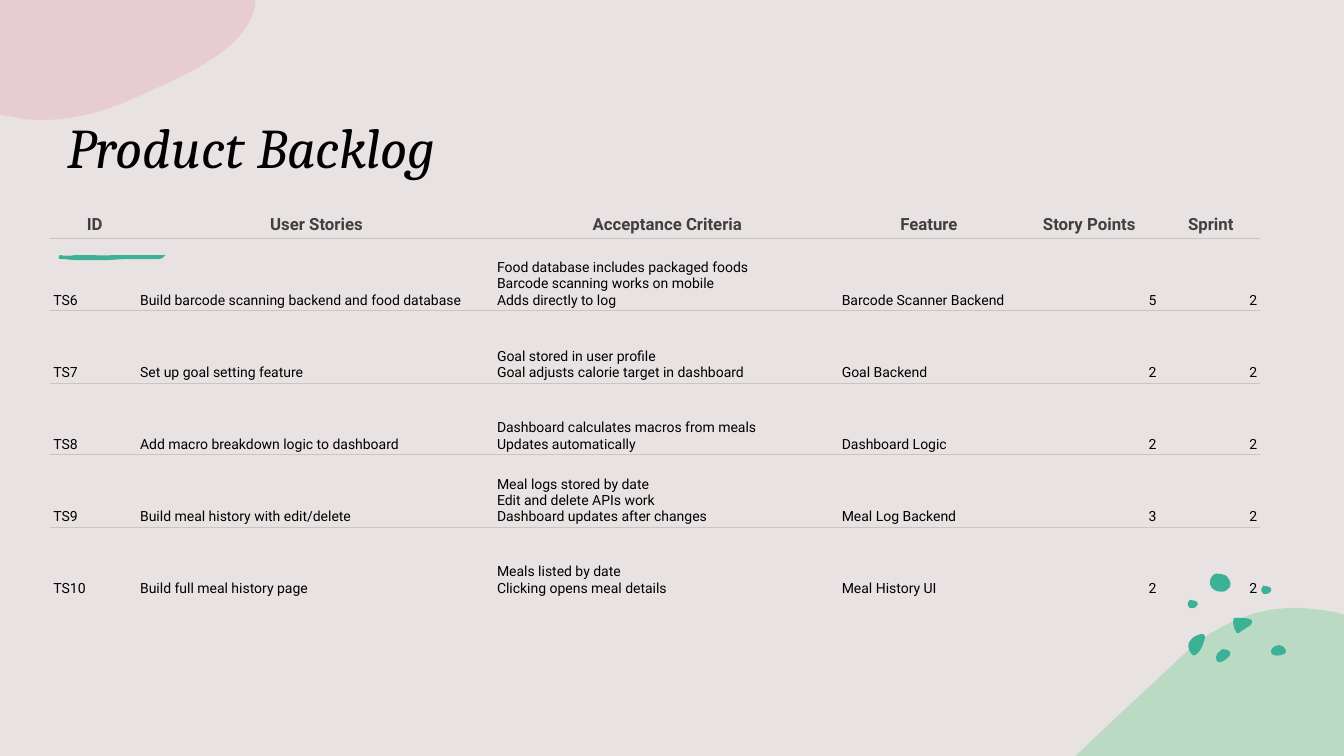
from lxml import etree
from pptx import Presentation
from pptx.dml.color import RGBColor
from pptx.enum.text import MSO_ANCHOR, PP_ALIGN
from pptx.oxml.ns import qn
from pptx.util import Inches, Pt

BOTTOM = MSO_ANCHOR.BOTTOM
LEFT, CENTER, RIGHT = PP_ALIGN.LEFT, PP_ALIGN.CENTER, PP_ALIGN.RIGHT

BACKGROUND, BLACK, HEADING, RULE = "E8E2E3", "000000", "404040", "C7C6C1"
TEAL, GREEN, PINK = "3BB195", "90D3A7", "E7B8C0"

# An outline is a start point, then lines (x, y) and Bezier curves (six numbers).
GREEN_HILL = [(12.88, 6.03), (13.01, 6.04, 13.14, 6.05, 13.27, 6.08), (13.33, 6.1),
              (13.33, 7.5), (10.67, 7.5), (10.68, 7.49),
              (11.02, 7.16, 11.37, 6.84, 11.69, 6.54),
              (11.91, 6.32, 12.14, 6.19, 12.37, 6.11),
              (12.54, 6.05, 12.71, 6.03, 12.88, 6.03)]
PINK_CLOUD = [(0, 0), (2.53, 0), (2.53, 0.06), (2.45, 0.44, 2, 0.67, 1.58, 0.86),
              (1.23, 1.03, 0.86, 1.19, 0.41, 1.19), (0.31, 1.19, 0.22, 1.18, 0.13, 1.16),
              (0, 1.14)]
BRUSH_STROKE = [(0.59, 2.53), (0.64, 2.54, 0.7, 2.54, 0.75, 2.53), (0.88, 2.53),
                (0.94, 2.53, 1.06, 2.54, 1.11, 2.53), (1.64, 2.53),
                (1.61, 2.54, 1.63, 2.57, 1.57, 2.57), (1.24, 2.57), (1.07, 2.58),
                (0.75, 2.58), (0.71, 2.58, 0.65, 2.57, 0.61, 2.57),
                (0.57, 2.58, 0.58, 2.54, 0.59, 2.53)]
SMALL_DOT = [(12.51, 5.86), (12.51, 5.86, 12.51, 5.82, 12.53, 5.81),
             (12.55, 5.81, 12.56, 5.81, 12.58, 5.82), (12.59, 5.82, 12.61, 5.83, 12.61, 5.85),
             (12.61, 5.86, 12.6, 5.88, 12.59, 5.88), (12.59, 5.88, 12.59, 5.89, 12.57, 5.89),
             (12.56, 5.89, 12.54, 5.9, 12.53, 5.89), (12.52, 5.87, 12.51, 5.87, 12.51, 5.86)]
LARGE_DOTS = [
    [(12.13, 6.44), (12.15, 6.44, 12.16, 6.44, 12.18, 6.45),
     (12.2, 6.46, 12.21, 6.48, 12.2, 6.5), (12.18, 6.53, 12.12, 6.58, 12.08, 6.57),
     (12.07, 6.56, 12.06, 6.54, 12.06, 6.52), (12.06, 6.5, 12.08, 6.47, 12.1, 6.46),
     (12.11, 6.45, 12.12, 6.44, 12.13, 6.44)],
    [(11.91, 6.29), (11.93, 6.29, 11.95, 6.29, 11.95, 6.31),
     (11.95, 6.32, 11.95, 6.32, 11.95, 6.33), (11.94, 6.38, 11.92, 6.43, 11.89, 6.47),
     (11.87, 6.49, 11.84, 6.52, 11.82, 6.49), (11.79, 6.46, 11.78, 6.41, 11.79, 6.38),
     (11.8, 6.35, 11.82, 6.34, 11.84, 6.32), (11.85, 6.32, 11.88, 6.29, 11.91, 6.29)],
    [(12.69, 6.4), (12.71, 6.4, 12.74, 6.42, 12.75, 6.44),
     (12.76, 6.46, 12.76, 6.48, 12.73, 6.49), (12.7, 6.51, 12.62, 6.51, 12.61, 6.48),
     (12.6, 6.46, 12.61, 6.44, 12.62, 6.43), (12.64, 6.41, 12.66, 6.4, 12.69, 6.4)],
    [(12.01, 5.81), (12, 5.81, 11.99, 5.75, 12.02, 5.72),
     (12.04, 5.7, 12.04, 5.69, 12.07, 5.69), (12.1, 5.69, 12.14, 5.7, 12.16, 5.71),
     (12.18, 5.73, 12.22, 5.78, 12.2, 5.82), (12.17, 5.85, 12.16, 5.87, 12.12, 5.87),
     (12.09, 5.87, 12.04, 5.86, 12.03, 5.84), (12.01, 5.83, 12.01, 5.82, 12.01, 5.81)],
    [(12.28, 6.13), (12.34, 6.13, 12.45, 6.13, 12.41, 6.19),
     (12.41, 6.2, 12.4, 6.21, 12.39, 6.21), (12.36, 6.23, 12.33, 6.25, 12.3, 6.27),
     (12.29, 6.28, 12.28, 6.29, 12.27, 6.28), (12.27, 6.28, 12.26, 6.27, 12.26, 6.27),
     (12.24, 6.23, 12.23, 6.2, 12.23, 6.16), (12.23, 6.15, 12.23, 6.14, 12.24, 6.13)],
]

COLUMN_WIDTHS = [0.86, 3.54, 3.42, 1.77, 1.41, 1]
ROW_HEIGHTS = [0.24, 0.71, 0.72, 0.71, 0.72, 0.71]
ALIGNMENTS = [LEFT, LEFT, LEFT, LEFT, RIGHT, RIGHT]
BACKLOG = [
    ("ID", "User Stories", "Acceptance Criteria", "Feature", "Story Points", "Sprint"),
    ("TS6", "Build barcode scanning backend and food database",
     "Food database includes packaged foods \vBarcode scanning works on mobile \v"
     "Adds directly to log", "Barcode Scanner Backend", "5", "2"),
    ("TS7", "Set up goal setting feature",
     "Goal stored in user profile \vGoal adjusts calorie target in dashboard",
     "Goal Backend", "2", "2"),
    ("TS8", "Add macro breakdown logic to dashboard",
     "Dashboard calculates macros from meals \vUpdates automatically",
     "Dashboard Logic", "2", "2"),
    ("TS9", "Build meal history with edit/delete",
     "Meal logs stored by date \vEdit and delete APIs work \vDashboard updates after changes",
     "Meal Log Backend", "3", "2"),
    ("TS10", "Build full meal history page",
     "Meals listed by date \vClicking opens meal details", "Meal History UI", "2", "2"),
]


def color(value):
    return RGBColor.from_string(value)


def set_font(font, name, size, value, bold=False, italic=False):
    font.name, font.size = name, Pt(size)
    font.bold, font.italic = bold, italic
    font.color.rgb = color(value)


def bend_lines(blob, segments):
    lines = list(blob._element.iter(qn("a:lnTo")))
    for line, segment in zip(lines, segments):
        if len(segment) == 2:
            continue
        line.tag = qn("a:cubicBezTo")
        for index in (0, 1):
            x, y = segment[2 * index:2 * index + 2]
            control = etree.Element(qn("a:pt"), x=str(x - blob.left), y=str(y - blob.top))
            line.insert(index, control)


def add_blob(shapes, outline, fill, alpha=100, shift=(0, 0)):
    segments = [[Inches(value + shift[index % 2]) for index, value in enumerate(segment)]
                for segment in outline]
    builder = shapes.build_freeform(*segments[0])
    builder.add_line_segments([segment[-2:] for segment in segments[1:]], close=True)
    blob = builder.convert_to_shape()
    bend_lines(blob, segments[1:])
    blob.shadow.inherit = False
    blob.fill.solid()
    blob.fill.fore_color.rgb = color(fill)
    blob.line.fill.background()
    if alpha < 100:
        solid = blob._element.spPr.find(qn("a:solidFill"))
        etree.SubElement(solid[0], qn("a:alpha"), val=str(alpha * 1000))


def add_dots(page):
    group = page.shapes.add_group_shape()
    for outline in LARGE_DOTS:
        add_blob(group.shapes, outline, TEAL)
    for shift in ((0, 0), (-0.73, 0.14)):
        add_blob(group.shapes, SMALL_DOT, TEAL, shift=shift)


def add_title(page, text):
    box = page.shapes.add_textbox(Inches(0.57), Inches(1.07), Inches(6.1), Inches(1.73))
    box.text_frame.word_wrap = True
    para = box.text_frame.paragraphs[0]
    para.text = text
    set_font(para.font, "Cambria", 40, BLACK, italic=True)


def set_borders(cell, ruled_edges):
    properties = cell._tc.get_or_add_tcPr()
    for edge in "LRTB":
        line = etree.SubElement(properties, qn(f"a:ln{edge}"), w=str(Pt(0.75)))
        if edge in ruled_edges:
            solid = etree.SubElement(line, qn("a:solidFill"))
            etree.SubElement(solid, qn("a:srgbClr"), val=RULE)
        else:
            etree.SubElement(line, qn("a:noFill"))


def fill_cell(cell, text, alignment, is_header, ruled_edges):
    set_borders(cell, ruled_edges)
    cell.fill.background()
    cell.vertical_anchor = BOTTOM
    margins = (0.07, 0.04, 0.05, 0.04) if is_header else (0.03, 0.02, 0.03, 0.02)
    cell.margin_left, cell.margin_top, cell.margin_right, cell.margin_bottom = map(Inches, margins)
    para = cell.text_frame.paragraphs[0]
    para.text = text
    para.alignment = CENTER if is_header else alignment
    set_font(para.font, "Roboto", 12 if is_header else 10,
             HEADING if is_header else BLACK, bold=is_header)


def add_backlog(page):
    frame = page.shapes.add_table(len(BACKLOG), len(COLUMN_WIDTHS), Inches(0.5), Inches(2.09),
                                  Inches(sum(COLUMN_WIDTHS)), Inches(sum(ROW_HEIGHTS)))
    table = frame.table
    table.first_row = table.horz_banding = False
    for column, width in zip(table.columns, COLUMN_WIDTHS):
        column.width = Inches(width)
    for row, height in zip(table.rows, ROW_HEIGHTS):
        row.height = Inches(height)
    last = len(BACKLOG) - 1
    for row_index, texts in enumerate(BACKLOG):
        edges = ("T" if row_index > 0 else "") + ("B" if row_index < last else "")
        for column_index, text in enumerate(texts):
            fill_cell(table.cell(row_index, column_index), text, ALIGNMENTS[column_index],
                      row_index == 0, edges)


def main():
    deck = Presentation()
    deck.slide_width, deck.slide_height = Inches(13.33), Inches(7.5)
    page = deck.slides.add_slide(deck.slide_layouts[6])
    page.background.fill.solid()
    page.background.fill.fore_color.rgb = color(BACKGROUND)
    add_blob(page.shapes, GREEN_HILL, GREEN, alpha=50)
    add_dots(page)
    add_blob(page.shapes, PINK_CLOUD, PINK, alpha=50)
    add_blob(page.shapes, BRUSH_STROKE, TEAL)
    add_title(page, "Product Backlog")
    add_backlog(page)
    deck.save("out.pptx")


if __name__ == "__main__":
    main()
